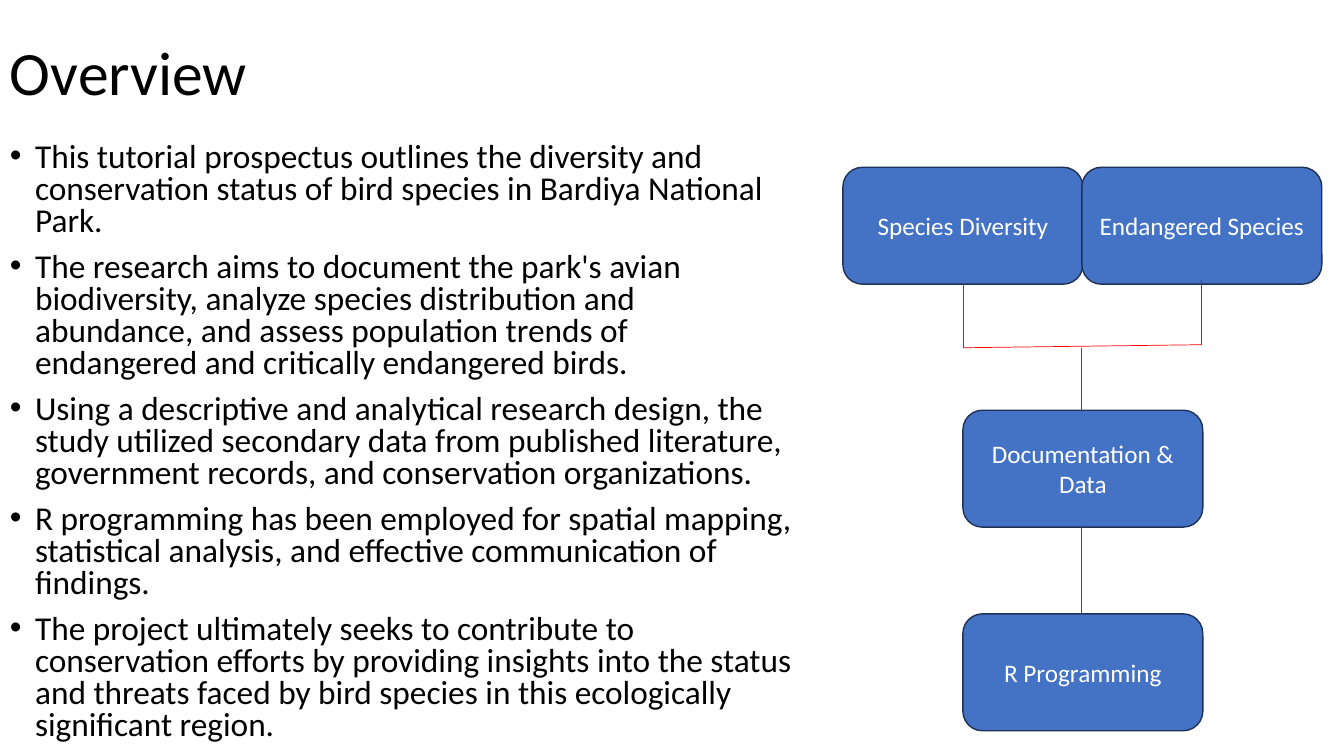
"""Build the Overview slide with its bullet list and flow diagram."""
from dataclasses import dataclass

from lxml import etree
from pptx import Presentation
from pptx.dml.color import RGBColor
from pptx.enum.shapes import MSO_CONNECTOR, MSO_SHAPE
from pptx.enum.text import MSO_ANCHOR, PP_ALIGN
from pptx.oxml.ns import qn
from pptx.util import Inches, Pt

ROUNDED = MSO_SHAPE.ROUNDED_RECTANGLE
STRAIGHT = MSO_CONNECTOR.STRAIGHT
TOP, MIDDLE = MSO_ANCHOR.TOP, MSO_ANCHOR.MIDDLE
LEFT, CENTER = PP_ALIGN.LEFT, PP_ALIGN.CENTER

BLACK = RGBColor(0x00, 0x00, 0x00)
WHITE = RGBColor(0xFF, 0xFF, 0xFF)
BLUE = RGBColor(0x44, 0x72, 0xC4)
NAVY = RGBColor(0x1E, 0x32, 0x56)
RED = RGBColor(0xFF, 0x00, 0x00)

FONT = "Calibri"
BOX_W, BOX_H = 2.38, 1.16
LEFT_X, MID_X, RIGHT_X = 9.55, 10.73, 11.92

BULLETS = [
    "This tutorial prospectus outlines the diversity and conservation status "
    "of bird species in Bardiya National Park.",
    "The research aims to document the park's avian biodiversity, analyze "
    "species distribution and abundance, and assess population trends of "
    "endangered and critically endangered birds.",
    "Using a descriptive and analytical research design, the study utilized "
    "secondary data from published literature, government records, and "
    "conservation organizations.",
    "R programming has been employed for spatial mapping, statistical "
    "analysis, and effective communication of findings.",
    "The project ultimately seeks to contribute to conservation efforts by "
    "providing insights into the status and threats faced by bird species in "
    "this ecologically significant region.",
]


@dataclass
class Box:
    text: str
    center_x: float
    top: float


@dataclass
class Link:
    x1: float
    y1: float
    x2: float
    y2: float


BOXES = [
    Box("Species Diversity", LEFT_X, 1.66),
    Box("Endangered Species", RIGHT_X, 1.66),
    Box("Documentation & Data", MID_X + 0.01, 4.07),
    Box("R Programming", MID_X + 0.01, 6.09),
]

LINKS = [
    Link(LEFT_X, 2.81, LEFT_X, 3.45),
    Link(RIGHT_X, 2.78, RIGHT_X, 3.42),
    Link(MID_X, 3.45, MID_X, 4.09),
    Link(LEFT_X, 3.45, RIGHT_X, 3.42),
    Link(MID_X, 5.23, MID_X, 6.09),
]


def add_bullet(p) -> None:
    """Give a paragraph a hanging round bullet."""
    pPr = p._p.get_or_add_pPr()
    pPr.set("marL", str(Inches(0.25)))
    pPr.set("indent", str(Inches(-0.25)))
    etree.SubElement(pPr, qn("a:buFont")).set("typeface", "Arial")
    etree.SubElement(pPr, qn("a:buChar")).set("char", "•")


def write_text(tf, lines: list[str], *, size: float, color: RGBColor = BLACK,
               align=LEFT, anchor=TOP, spacing: float = 1.0,
               before: float = 0, bullets: bool = False) -> None:
    """Fill a text frame with one formatted paragraph per line."""
    tf.word_wrap = True
    tf.vertical_anchor = anchor
    for i, line in enumerate(lines):
        p = tf.add_paragraph() if i else tf.paragraphs[0]
        if bullets:
            add_bullet(p)
        p.alignment = align
        p.line_spacing = spacing
        p.space_before = Pt(before if i else 0)
        r = p.add_run()
        r.text = line
        r.font.name = FONT
        r.font.size = Pt(size)
        r.font.color.rgb = color


def add_box(s, box: Box) -> None:
    """Draw a rounded box of the diagram."""
    sp = s.shapes.add_shape(ROUNDED, Inches(box.center_x - BOX_W / 2),
                            Inches(box.top), Inches(BOX_W), Inches(BOX_H))
    sp.shadow.inherit = False
    sp.fill.solid()
    sp.fill.fore_color.rgb = BLUE
    sp.line.color.rgb = NAVY
    sp.line.width = Pt(1)
    write_text(sp.text_frame, [box.text], size=18, color=WHITE,
               align=CENTER, anchor=MIDDLE)


def add_link(s, link: Link) -> None:
    """Draw a thin red line of the diagram."""
    cx = s.shapes.add_connector(STRAIGHT, Inches(link.x1), Inches(link.y1),
                                Inches(link.x2), Inches(link.y2))
    cx.line.color.rgb = RED
    cx.line.width = Pt(0.5)
    etree.SubElement(cx._element.spPr, qn("a:effectLst"))


def main() -> None:
    """Build and save the slide."""
    prs = Presentation()
    prs.slide_width, prs.slide_height = Inches(13.33), Inches(7.5)
    s = prs.slides.add_slide(prs.slide_layouts[6])
    title = s.shapes.add_textbox(Inches(0), Inches(0.02),
                                 Inches(2.72), Inches(1.45))
    write_text(title.text_frame, ["Overview"], size=44, anchor=MIDDLE,
               spacing=0.9)
    body = s.shapes.add_textbox(Inches(0), Inches(1.37),
                                Inches(7.97), Inches(6.11))
    write_text(body.text_frame, BULLETS, size=23.8, spacing=0.8, before=10,
               bullets=True)
    for box in BOXES:
        add_box(s, box)
    for link in LINKS:
        add_link(s, link)
    prs.save("out.pptx")


if __name__ == "__main__":
    main()
